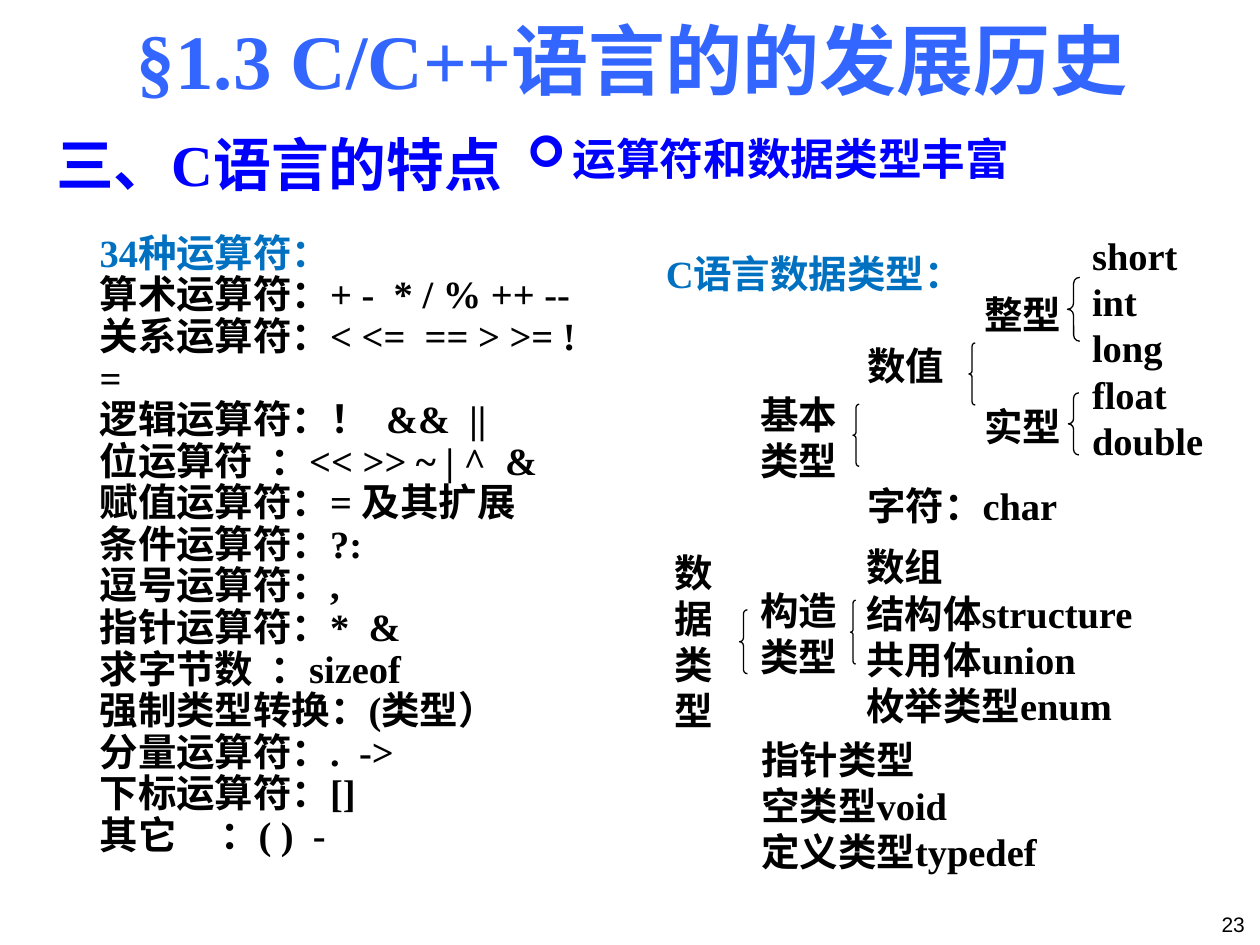
from lxml.etree import SubElement
from pptx import Presentation
from pptx.dml.color import RGBColor
from pptx.enum.shapes import MSO_SHAPE
from pptx.enum.text import MSO_ANCHOR, MSO_AUTO_SIZE, PP_ALIGN
from pptx.oxml.ns import qn
from pptx.util import Pt

LATIN, HAN = "Times New Roman", "Noto Sans CJK SC"
BLACK, BLUE, SKY, TITLE = "000000", "0000FF", "0070C0", "3366FF"
ALIGN = {"l": PP_ALIGN.LEFT, "c": PP_ALIGN.CENTER, "r": PP_ALIGN.RIGHT}
ANCHOR = {"t": MSO_ANCHOR.TOP, "m": MSO_ANCHOR.MIDDLE, "b": MSO_ANCHOR.BOTTOM}

OPS = [
    "34种运算符：",
    "算术运算符：+ -  * / % ++ --",
    "关系运算符：< <=  == > >= !=",
    "逻辑运算符：！  &&  ||",
    "位运算符  ：<< >> ~ | ^  &",
    "赋值运算符：= 及其扩展",
    "条件运算符：?:",
    "逗号运算符：,",
    "指针运算符：*  &",
    "求字节数  ：sizeof",
    "强制类型转换：(类型）",
    "分量运算符：.  ->",
    "下标运算符：[]",
    "其它     ：( )  -",
]

TYPES = [
    ((0, 10, 203, 34), "C语言数据类型：", dict(color=SKY, indent=14.4, anchor="m", wrap=False)),
    ((16.5, 181, 42, 113), "数\n据\n类\n型", dict(align="c")),
    ((258, 0, 78, 140), "short\nint\nlong\nfloat\ndouble", dict(wrap=False)),
    ((196.5, 26, 64, 106), "整型\n实型", dict(font=HAN, first=1.3, gap=37.5)),
    ((129.5, 55, 143, 122), "数值\n字符：char", dict(first=1.3, line=1.3, gap=45.5)),
    ((63.5, 91, 63, 60), "基本类型", dict(font=HAN, align="r")),
    ((69, 288, 189, 86), "指针类型\n空类型void\n定义类型typedef", {}),
    ((129, 178, 172, 113), "数组\n结构体structure\n共用体union\n枚举类型enum", dict(wrap=False)),
    ((63.5, 203, 63, 60), "构造类型", dict(font=HAN, align="r")),
]

BRACES = [
    (251, 29.5, 7, 36.5),
    (251.5, 95.5, 6, 35.5),
    (194.7, 67, 3.6, 35.5),
    (128.4, 102, 3.6, 35.5),
    (127, 214, 3, 36.5),
    (63.6, 219.5, 4.5, 36.5),
]


def paint(text):
    """Turn a hex string into a colour."""
    return RGBColor.from_string(text)


def style(run, size, color, font, bold):
    """Format one run, with its East Asian typeface."""
    run.font.size, run.font.bold, run.font.name = Pt(size), bold, font
    run.font.color.rgb = paint(color)
    SubElement(run.font._element, qn("a:ea")).set("typeface", HAN)


def mark(para, sign, color, indent):
    """Give a paragraph a coloured bullet with a hanging indent."""
    props = para._p.get_or_add_pPr()
    props.set("indent", str(-Pt(indent)))
    tint = SubElement(props, qn("a:buClr"))
    SubElement(tint, qn("a:srgbClr")).set("val", color)
    SubElement(props, qn("a:buFont")).set("typeface", "Wingdings")
    SubElement(props, qn("a:buChar")).set("char", sign)


def write(slide, box, text, size=22, color=BLACK, font=LATIN, bold=True, align="l",
          anchor="t", wrap=True, grow=True, indent=0, first=None, line=None, gap=0,
          bullet=None, head=None):
    """Add a text box with one paragraph for each line of text."""
    frame = slide.shapes.add_textbox(*map(Pt, box)).text_frame
    frame.word_wrap = wrap
    frame.auto_size = MSO_AUTO_SIZE.SHAPE_TO_FIT_TEXT if grow else MSO_AUTO_SIZE.NONE
    frame.vertical_anchor = ANCHOR[anchor]
    for i, part in enumerate(text.split("\n")):
        para = frame.add_paragraph() if i else frame.paragraphs[0]
        para.alignment = ALIGN[align]
        space = line if i else first or line
        if space:
            para.line_spacing = space
        if i and gap:
            para.space_before = Pt(gap)
        if indent:
            para._p.get_or_add_pPr().set("marL", str(Pt(indent)))
        if bullet:
            mark(para, bullet, color, indent)
        run = para.add_run()
        run.text = part
        style(run, size, color if i or not head else head, font, bold)


def brace(slide, box):
    """Draw a thin left brace."""
    shape = slide.shapes.add_shape(MSO_SHAPE.LEFT_BRACE, *map(Pt, box))
    shape.adjustments[0] = 0.5
    shape.shadow.inherit = False
    shape.fill.background()
    shape.line.color.rgb = paint(BLACK)
    shape.line.width = Pt(0.75)


def header(slide, x, y):
    """Place the title, the section heading and its topic."""
    write(slide, (x + 26, y, 621, 60), "§1.3 C/C++语言的的发展历史",
          size=44, color=TITLE, align="c")
    write(slide, (x, y + 66.5, 428, 46), "三、C语言的特点", size=33, color=BLUE)
    write(slide, (x + 269, y + 68, 363, 37), "运算符和数据类型丰富",
          size=25, color=BLUE, indent=26, bullet="➢")


def ops(slide, box):
    """List the operators by kind."""
    write(slide, box, "\n".join(OPS), head=SKY, indent=14.4, line=0.9, anchor="m")


def types(slide, x, y):
    """Place the tree of data types."""
    for (left, top, wide, high), text, form in TYPES:
        write(slide, (x + left, y + top, wide, high), text, **form)
    for left, top, wide, high in BRACES:
        brace(slide, (x + left, y + top, wide, high))


def main():
    """Build and save the slide."""
    deck = Presentation()
    deck.slide_width, deck.slide_height = Pt(720), Pt(540)
    slide = deck.slides.add_slide(deck.slide_layouts[6])
    header(slide, 25, 3.5)
    ops(slide, (35.5, 142, 304, 340))
    types(slide, 359, 129)
    write(slide, (619, 504, 99.5, 35), "23", size=12, font="Arial", bold=False,
          align="r", anchor="b", grow=False)
    deck.save("out.pptx")


if __name__ == "__main__":
    main()
